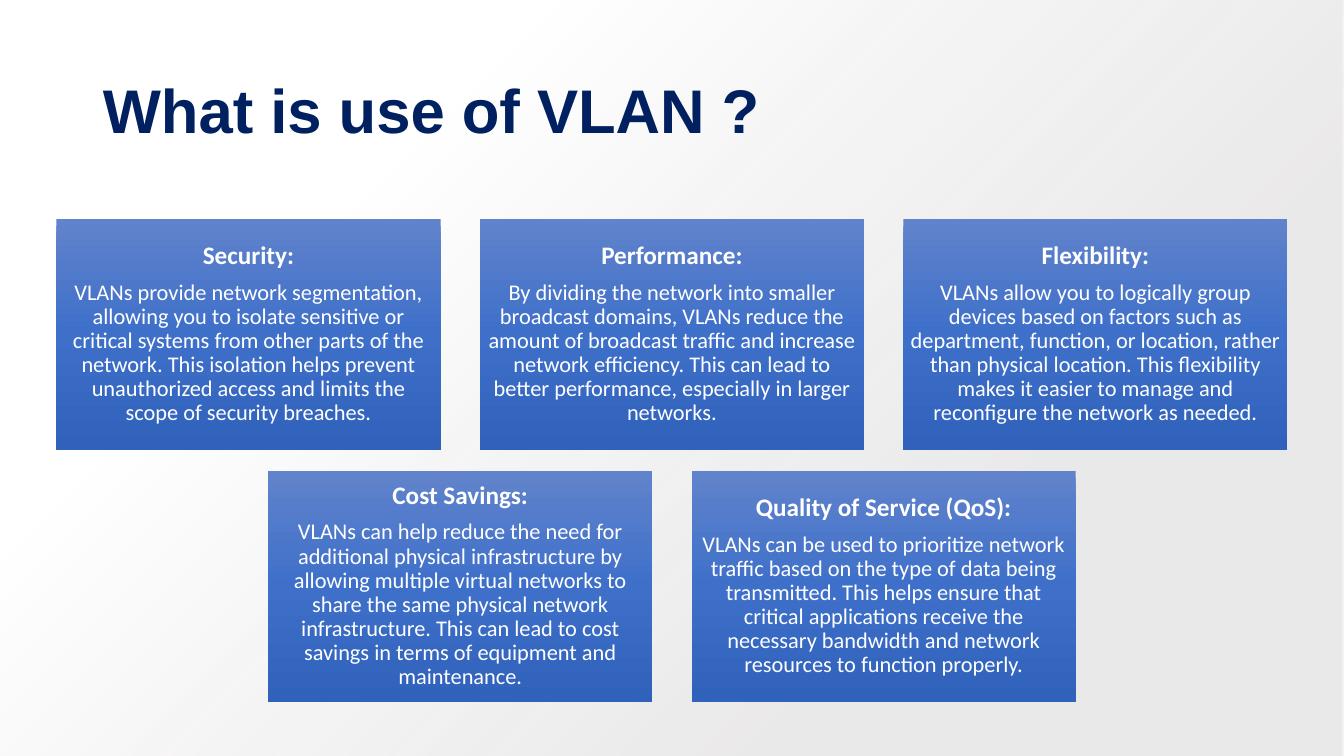
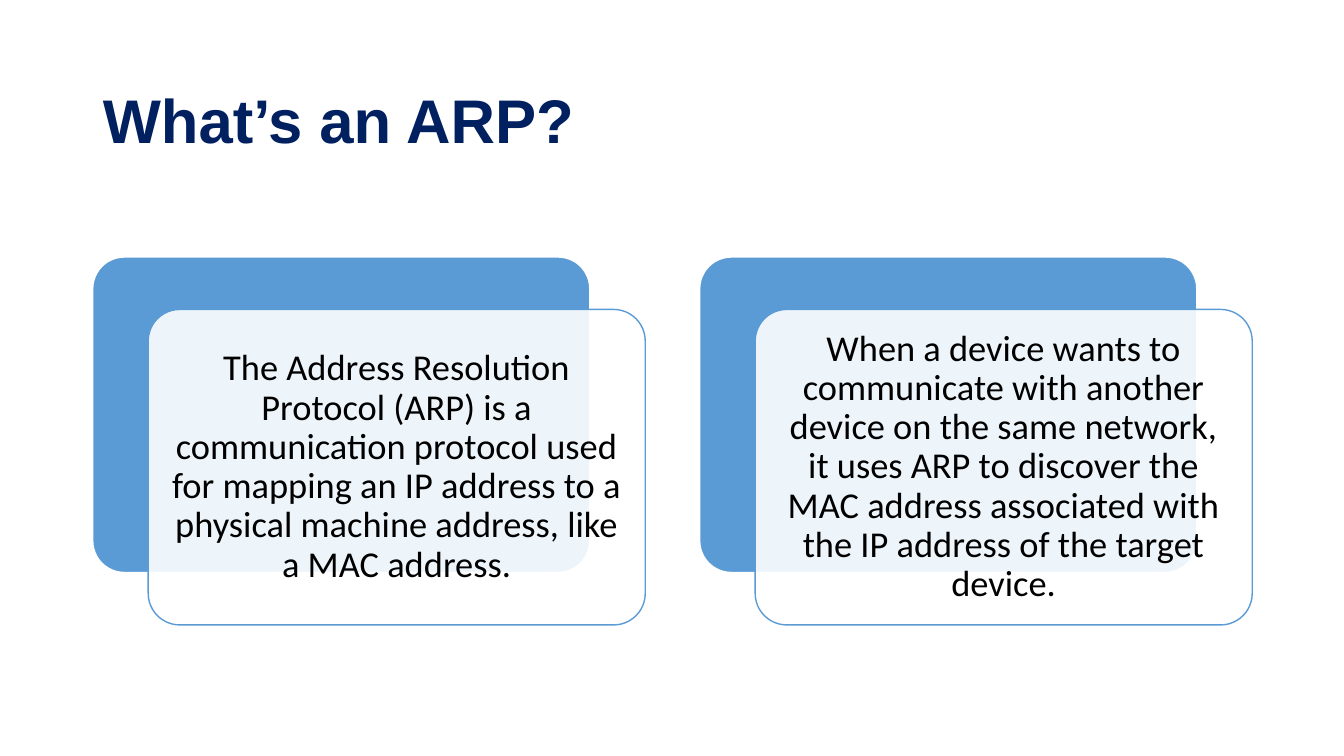
from lxml.etree import SubElement
from pptx import Presentation
from pptx.dml.color import RGBColor
from pptx.enum.shapes import MSO_SHAPE as SHAPE
from pptx.enum.text import MSO_ANCHOR as ANCHOR, PP_ALIGN as ALIGN
from pptx.oxml import parse_xml
from pptx.oxml.ns import nsdecls, qn
from pptx.util import Inches, Pt

COLORS = {
    "title": "002060",
    "white": "FFFFFF",
    "black": "000000",
    "grey": "E7E6E6",
    "accent": "5B9BD5",
    "card_top": "6183CB",
    "card_middle": "3E70CA",
    "card_bottom": "3062BB",
}
SLIDE_W, SLIDE_H = 13.33, 7.5


def style_text(frame, font, sizes, color, bolds, align, inset=None):
    """Format each paragraph with its own size and weight."""
    frame.word_wrap = True
    frame.vertical_anchor = ANCHOR.MIDDLE
    if inset is not None:
        frame.margin_left = frame.margin_right = Inches(inset)
        frame.margin_top = frame.margin_bottom = Inches(inset)
    for paragraph, size, bold in zip(frame.paragraphs, sizes, bolds):
        paragraph.alignment = align
        paragraph.line_spacing = 0.9
        if inset is not None:
            paragraph.space_after = Pt(size * 0.43)
        for run in paragraph.runs:
            run.font.name = font
            run.font.size = Pt(size)
            run.font.bold = bold
            run.font.color.rgb = RGBColor.from_string(COLORS[color])


def fill_gradient(shape, stops, direction):
    """Fill with (position %, colour name, opacity %) stops."""
    shape.fill.gradient()
    stop_xml = "".join(
        f'<a:gs pos="{position * 1000}"><a:srgbClr val="{COLORS[color]}">'
        f'<a:alpha val="{opacity * 1000}"/></a:srgbClr></a:gs>'
        for position, color, opacity in stops)
    properties = shape._element.spPr
    properties.replace(properties.find(qn("a:gradFill")), parse_xml(
        f'<a:gradFill {nsdecls("a")} rotWithShape="1">'
        f'<a:gsLst>{stop_xml}</a:gsLst>{direction}</a:gradFill>'))


prs = Presentation()
prs.slide_width, prs.slide_height = Inches(SLIDE_W), Inches(SLIDE_H)

# Slides with their shared title style
slides = []
for heading, top, height in [("What is use of VLAN ?", 0.4, 1.45),
                             ("What’s an ARP?", 0.61, 1.24)]:
    slide = prs.slides.add_slide(prs.slide_layouts[5])
    title = slide.shapes.title
    title.left, title.top = Inches(0.92), Inches(top)
    title.width, title.height = Inches(11.5), Inches(height)
    title.text_frame.text = heading
    style_text(title.text_frame, "Arial", [44], "title", [True], ALIGN.LEFT)
    slides.append(slide)
vlan_slide, arp_slide = slides

# VLAN: shaded backdrop behind the title
backdrop = vlan_slide.shapes.add_shape(
    SHAPE.RECTANGLE, 0, 0, prs.slide_width, prs.slide_height)
backdrop.shadow.inherit = False
backdrop.line.fill.background()
fill_gradient(backdrop, [(28, "grey", 84), (74, "white", 100)],
              '<a:path path="circle"><a:fillToRect l="100000" t="100000"/></a:path>')
vlan_slide.shapes._spTree.insert(2, backdrop._element)

# VLAN: centred rows of benefit cards
benefit_rows = [
    [("Security:",
      "VLANs provide network segmentation, allowing you to isolate sensitive or "
      "critical systems from other parts of the network. This isolation helps "
      "prevent unauthorized access and limits the scope of security breaches."),
     ("Performance:",
      "By dividing the network into smaller broadcast domains, VLANs reduce the "
      "amount of broadcast traffic and increase network efficiency. This can lead "
      "to better performance, especially in larger networks."),
     ("Flexibility:",
      "VLANs allow you to logically group devices based on factors such as "
      "department, function, or location, rather than physical location. This "
      "flexibility makes it easier to manage and reconfigure the network as needed.")],
    [("Cost Savings:",
      "VLANs can help reduce the need for additional physical infrastructure by "
      "allowing multiple virtual networks to share the same physical network "
      "infrastructure. This can lead to cost savings in terms of equipment and "
      "maintenance."),
     ("Quality of Service (QoS):",
      "VLANs can be used to prioritize network traffic based on the type of data "
      "being transmitted. This helps ensure that critical applications receive the "
      "necessary bandwidth and network resources to function properly.")],
]
CARD_W, CARD_H, CARD_STEP = 3.81, 2.29, 4.2
for row, benefits in enumerate(benefit_rows):
    row_left = (SLIDE_W - CARD_W - CARD_STEP * (len(benefits) - 1)) / 2
    for column, benefit in enumerate(benefits):
        card = vlan_slide.shapes.add_shape(
            SHAPE.RECTANGLE, Inches(row_left + column * CARD_STEP),
            Inches(2.17 + row * 2.5), Inches(CARD_W), Inches(CARD_H))
        card.shadow.inherit = False
        card.line.fill.background()
        fill_gradient(card, [(0, "card_top", 100), (50, "card_middle", 100),
                             (100, "card_bottom", 100)],
                      '<a:lin ang="5400000" scaled="0"/>')
        card.text_frame.text = "\n".join(benefit)
        style_text(card.text_frame, "Calibri", [18, 16], "white", [True, False],
                   ALIGN.CENTER, 0.07)

# ARP: translucent panels, each offset over a blue one
arp_facts = [
    "The Address Resolution Protocol (ARP) is a communication protocol used for "
    "mapping an IP address to a physical machine address, like a MAC address.",
    "When a device wants to communicate with another device on the same network, "
    "it uses ARP to discover the MAC address associated with the IP address of "
    "the target device.",
]
for column, fact in enumerate(arp_facts):
    left = 0.92 + column * 6.02
    for x, y, fill, outline in [(left, 2.55, "accent", "white"),
                                (left + 0.55, 3.07, "white", "accent")]:
        panel = arp_slide.shapes.add_shape(
            SHAPE.ROUNDED_RECTANGLE, Inches(x), Inches(y), Inches(4.93), Inches(3.13))
        panel.adjustments[0] = 0.1
        panel.shadow.inherit = False
        panel.fill.solid()
        panel.fill.fore_color.rgb = RGBColor.from_string(COLORS[fill])
        panel.line.color.rgb = RGBColor.from_string(COLORS[outline])
        panel.line.width = Pt(1)
    # The front panel is the last one drawn
    fill_color = panel._element.spPr.find(qn("a:solidFill")).find(qn("a:srgbClr"))
    SubElement(fill_color, qn("a:alpha"), val="90000")
    panel.text_frame.text = fact
    style_text(panel.text_frame, "Calibri", [26], "black", [False],
               ALIGN.CENTER, 0.11)

prs.save("out.pptx")
